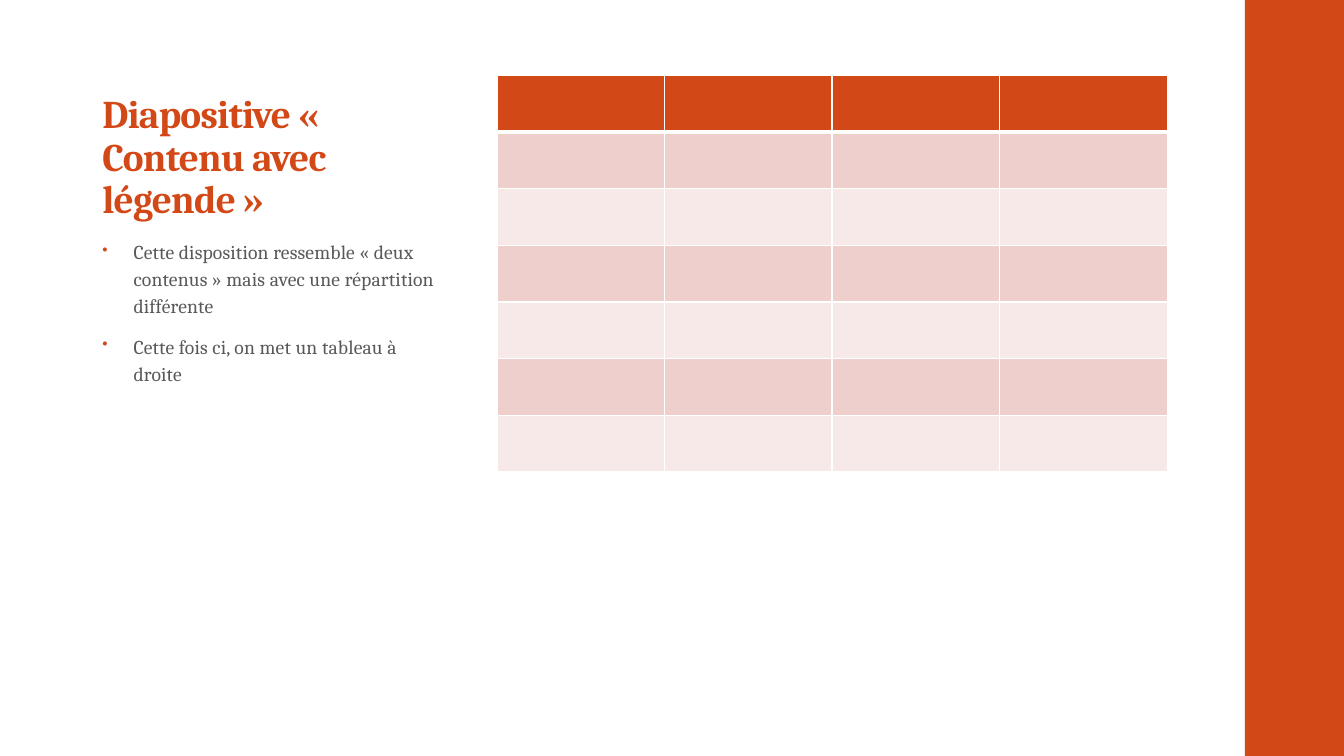
from dataclasses import dataclass

from lxml import etree
from pptx import Presentation
from pptx import util as u
from pptx.dml import color
from pptx.enum import shapes, text
from pptx.oxml import ns

COLS, ROWS = 160, 90  # slide grid
WIDE, HIGH = u.Inches(13.33), u.Inches(7.5)
FONT = "Cambria"
HUES = {
    "rust": "D34817",
    "grey": "595959",
    "rose": "EFCFCC",
    "pale": "F7E9E8",
    "white": "FFFFFF",
}
TITLE = "Diapositive « Contenu avec légende »"
POINTS = [
    "Cette disposition ressemble « deux contenus » mais avec une répartition différente",
    "Cette fois ci, on met un tableau à droite",
]


@dataclass(frozen=True)
class Box:
    """A place on the slide, in grid columns and rows."""
    col: float
    row: float
    cols: float
    rows: float

    def emu(self) -> tuple[int, int, int, int]:
        return (round(self.col * WIDE / COLS), round(self.row * HIGH / ROWS),
                round(self.cols * WIDE / COLS), round(self.rows * HIGH / ROWS))


@dataclass(frozen=True)
class Style:
    size: float
    hue: str
    bold: bool
    space: int  # letter spacing, hundredths of a point
    line: float


BAR = Box(148.2, 0, 11.8, 90)
HEAD = Box(11, 6, 42, 21)
BODY = Box(11, 27.6, 42, 50)
GRID = Box(59.16, 9, 79.8, 47.16)
GRID_COLS, GRID_ROWS = 4, 7
HEAD_STYLE = Style(28, "rust", True, -50, 0.9)
BODY_STYLE = Style(14, "grey", False, 10, 1.14)


def rgb(hue: str) -> color.RGBColor:
    return color.RGBColor.from_string(HUES[hue])


def add_tag(base, tag: str, **attrs):
    return etree.SubElement(base, ns.qn(tag), attrs)


def add_hue(base, hue: str) -> None:
    add_tag(base, "a:srgbClr", val=HUES[hue])


def add_text(slide, box: Box, lines: list[str], style: Style):
    frame = slide.shapes.add_textbox(*box.emu()).text_frame
    frame.word_wrap = True
    frame.text = "\n".join(lines)
    for para in frame.paragraphs:
        para.line_spacing = style.line
        for run in para.runs:
            font = run.font
            font.name, font.size, font.bold = FONT, u.Pt(style.size), style.bold
            font.color.rgb = rgb(style.hue)
            font._element.set("spc", str(style.space))
    return frame


def add_bullet(para) -> None:
    para.space_before, para.space_after = u.Pt(8), u.Pt(2)
    props = para._p.get_or_add_pPr()
    dent = u.Inches(0.31)
    props.set("marL", str(dent))
    props.set("indent", str(-dent))
    add_hue(add_tag(props, "a:buClr"), "rust")
    add_tag(props, "a:buSzPct", val="80000")
    add_tag(props, "a:buChar", char="•")


def paint_cell(cell, hue: str, top: float, base: float) -> None:
    """Fill a cell and draw white borders; top and base are widths in points."""
    props = cell._tc.get_or_add_tcPr()
    for side, width in {"L": 1, "R": 1, "T": top, "B": base}.items():
        line = add_tag(props, f"a:ln{side}", w=str(u.Pt(width)))
        add_hue(add_tag(line, "a:solidFill"), "white")
    cell.fill.solid()
    cell.fill.fore_color.rgb = rgb(hue)


def add_grid(slide) -> None:
    table = slide.shapes.add_table(GRID_ROWS, GRID_COLS, *GRID.emu()).table
    for r in range(GRID_ROWS):
        hue = "rust" if r == 0 else ("pale", "rose")[r % 2]
        for c in range(GRID_COLS):
            paint_cell(table.cell(r, c), hue, 3 if r == 1 else 1, 3 if r == 0 else 1)


def add_bar(slide) -> None:
    bar = slide.shapes.add_shape(shapes.MSO_SHAPE.RECTANGLE, *BAR.emu())
    bar.shadow.inherit = False
    bar.fill.solid()
    bar.fill.fore_color.rgb = rgb("rust")
    bar.line.fill.background()


def main() -> None:
    deck = Presentation()
    deck.slide_width, deck.slide_height = WIDE, HIGH
    slide = deck.slides.add_slide(deck.slide_layouts[6])
    add_bar(slide)
    head = add_text(slide, HEAD, [TITLE], HEAD_STYLE)
    head.vertical_anchor = text.MSO_ANCHOR.BOTTOM
    head.margin_top = u.Inches(0.03)
    add_grid(slide)
    for para in add_text(slide, BODY, POINTS, BODY_STYLE).paragraphs:
        add_bullet(para)
    deck.save("out.pptx")


if __name__ == "__main__":
    main()
